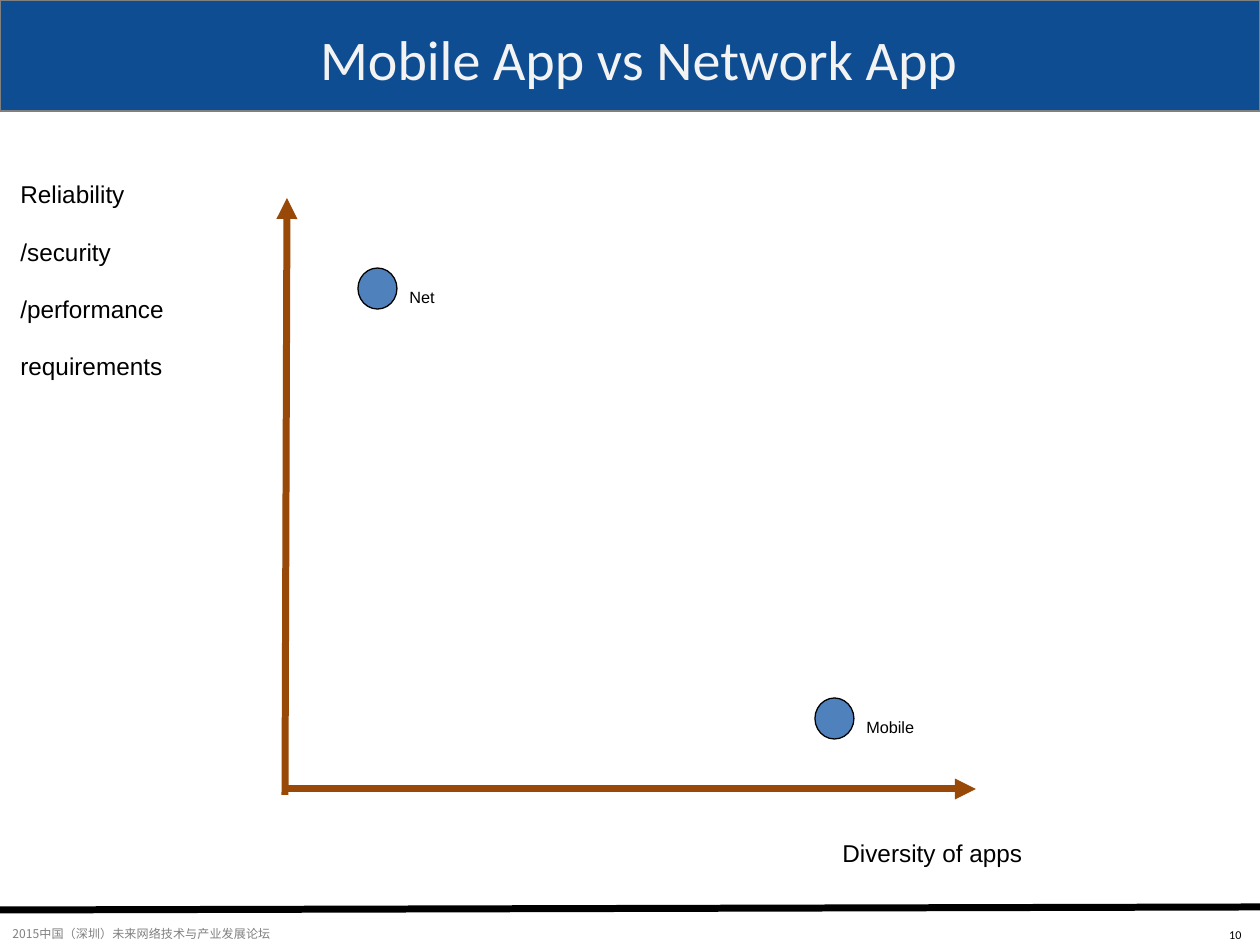
"""Build a slide that plots network and mobile apps by diversity and requirements."""
import lxml.etree
import pptx
import pptx.dml.color
import pptx.enum.shapes
import pptx.enum.text
import pptx.oxml.ns
import pptx.util

RGBColor = pptx.dml.color.RGBColor
ALIGN = pptx.enum.text.PP_ALIGN
SHAPES = pptx.enum.shapes.MSO_SHAPE
qn = pptx.oxml.ns.qn

NAVY = RGBColor(0x0F, 0x4D, 0x92)
GRAY = RGBColor(0x80, 0x80, 0x80)
BLACK = RGBColor(0, 0, 0)
OFF_WHITE = RGBColor(0xF3, 0xF3, 0xF3)
BROWN = RGBColor(0x98, 0x48, 0x07)
BLUE = RGBColor(0x4F, 0x81, 0xBD)

SLIDE_SIZE = (1260, 945)
BANNER = (0, 0, 1260, 111)
TITLE = ("Mobile App vs Network App", (35, 11, 1208, 95))
FOOTER = ("2015中国（深圳）未来网络技术与产业发展论坛", (0, 906, 447, 38))
PAGE_NUMBER = ("10", (992, 907, 262, 42))
AXIS_LABELS = [
    (["Diversity of apps"], (830, 804, 339, 63)),
    (["Reliability", "/security", "/performance\vrequirements"], (8, 145, 273, 217)),
]
FOOTER_RULE = ((0, 910), (1260, 907))
AXES = [((284, 789), (976, 789)), ((285, 795), (287, 198))]
POINTS = [("Mobile", (815, 698), 108), ("Net", (358, 268), 69)]
MARKER_SIZE = (39, 41)
POINT_LABEL_RISE, POINT_LABEL_HEIGHT = 6, 47
SUBSCRIPT = "-25000"


def emu(pixels):
    return round(pixels * 914400 / 126)


def add_filled_shape(slide, kind, box, fill, line):
    shape = slide.shapes.add_shape(kind, *map(emu, box))
    shape.shadow.inherit = False
    shape.fill.solid()
    shape.fill.fore_color.rgb = fill
    shape.line.color.rgb = line
    shape.line.width = pptx.util.Pt(0.75)


def add_line(slide, start, end, color, arrow=False):
    connector = slide.shapes.add_connector(
        pptx.enum.shapes.MSO_CONNECTOR.STRAIGHT, *map(emu, start + end))
    connector.line.color.rgb = color
    connector.line.width = pptx.util.Pt(4)
    if arrow:
        lxml.etree.SubElement(connector.line._get_or_add_ln(), qn("a:tailEnd"), type="triangle")
    lxml.etree.SubElement(connector._element.spPr, qn("a:effectLst"))


def add_text(slide, lines, box, size, font="Arial", color=BLACK, align=ALIGN.LEFT,
             wrap=False, subscript=True):
    text_box = slide.shapes.add_textbox(*map(emu, box))
    frame = text_box.text_frame
    frame.word_wrap = wrap
    if not wrap:
        frame.auto_size = pptx.enum.text.MSO_AUTO_SIZE.SHAPE_TO_FIT_TEXT
    frame.text = "\n".join(lines)
    for paragraph in frame.paragraphs:
        paragraph.alignment = align
        paragraph.font.size = pptx.util.Pt(size)
        paragraph.font.name = font
        paragraph.font.color.rgb = color
        if subscript:
            for run in paragraph.runs:
                run._r.get_or_add_rPr().set("baseline", SUBSCRIPT)
    return frame


def add_text_shadow(run):
    effects = lxml.etree.SubElement(run._r.get_or_add_rPr(), qn("a:effectLst"))
    shadow = lxml.etree.SubElement(effects, qn("a:outerShdw"), blurRad="38100",
                                   dist="38100", dir="2700000", algn="tl")
    color = lxml.etree.SubElement(shadow, qn("a:srgbClr"), val="000000")
    lxml.etree.SubElement(color, qn("a:alpha"), val="43000")


def main():
    presentation = pptx.Presentation()
    presentation.slide_width, presentation.slide_height = map(emu, SLIDE_SIZE)
    slide = presentation.slides.add_slide(presentation.slide_layouts[6])

    add_filled_shape(slide, SHAPES.RECTANGLE, BANNER, NAVY, GRAY)
    add_line(slide, *FOOTER_RULE, BLACK)

    text, box = FOOTER
    footer = add_text(slide, [text], box, 12, "Noto Sans CJK SC", GRAY)
    lxml.etree.SubElement(footer.paragraphs[0].runs[0]._r.get_or_add_rPr(), qn("a:ea"),
                          typeface="Noto Sans CJK SC")

    text, box = TITLE
    title = add_text(slide, [text], box, 32, "Calibri", OFF_WHITE, ALIGN.CENTER,
                     wrap=True, subscript=False)
    title.vertical_anchor = pptx.enum.text.MSO_ANCHOR.MIDDLE
    add_text_shadow(title.paragraphs[0].runs[0])

    text, box = PAGE_NUMBER
    add_text(slide, [text], box, 12, "Calibri", align=ALIGN.RIGHT, wrap=True)

    for start, end in AXES:
        add_line(slide, start, end, BROWN, arrow=True)
    for lines, box in AXIS_LABELS:
        add_text(slide, lines, box, 24)
    for name, (left, top), width in POINTS:
        add_filled_shape(slide, SHAPES.OVAL, (left, top) + MARKER_SIZE, BLUE, BLACK)
        label_box = (left + MARKER_SIZE[0], top - POINT_LABEL_RISE, width, POINT_LABEL_HEIGHT)
        add_text(slide, [name], label_box, 16)

    presentation.save("out.pptx")


if __name__ == "__main__":
    main()
